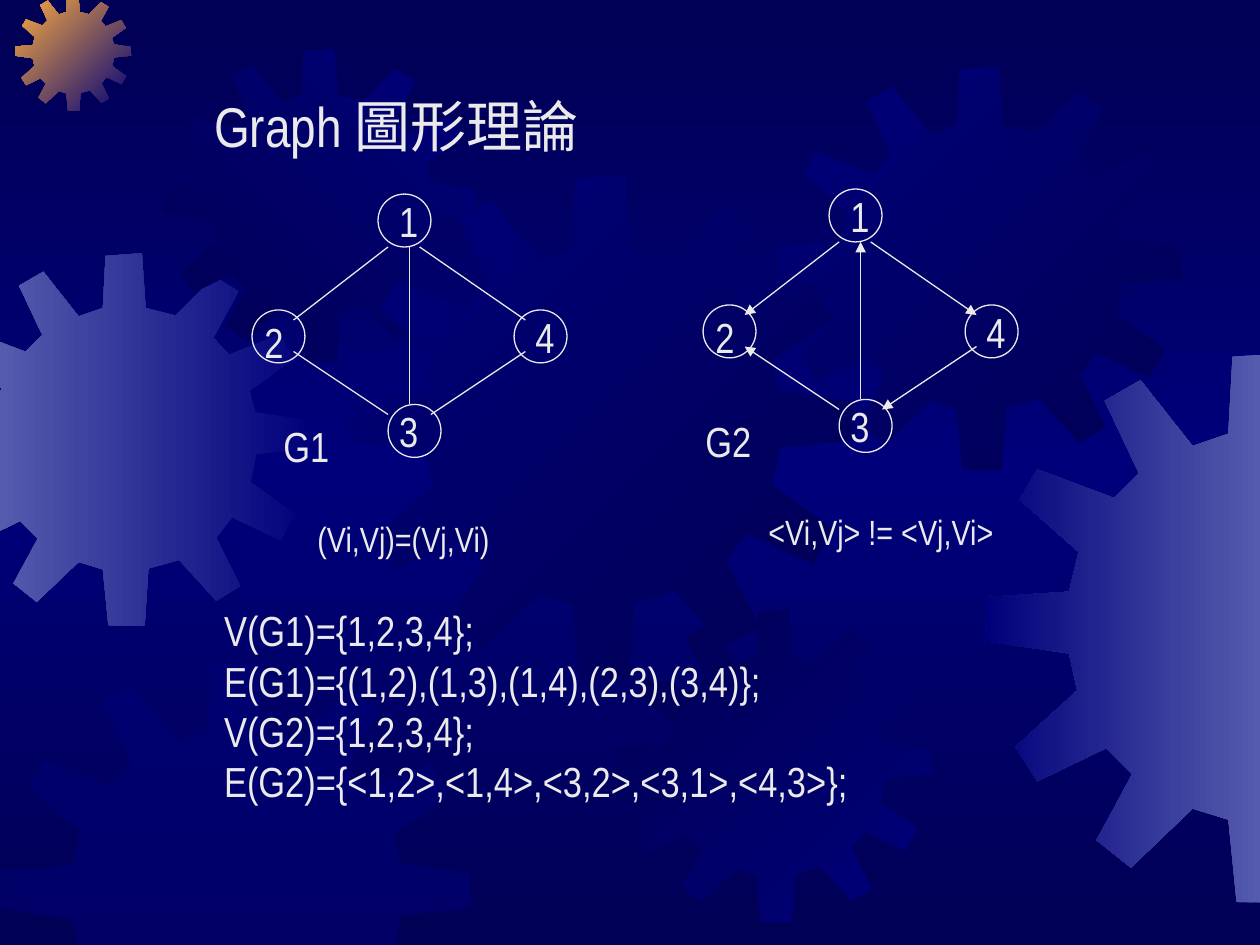
from copy import deepcopy

from lxml.etree import SubElement
from pptx import Presentation
from pptx.dml.color import RGBColor
from pptx.enum.shapes import MSO_CONNECTOR, MSO_SHAPE
from pptx.enum.text import MSO_ANCHOR, MSO_AUTO_SIZE, PP_ALIGN
from pptx.oxml.ns import qn
from pptx.util import Inches, Pt

WIDTH, HEIGHT = 10, 7.5
INK, NAVY, BLUE, LILAC, ORANGE = "EAEAEA", "000054", "00007A", "555BAD", "FCAB40"

GEAR_SPAN = 401
GEAR_OUTLINE = [
    (255, 67), (223, 59), (219, 0), (180, 3), (177, 59), (151, 68),
    (113, 20), (87, 35), (112, 88), (94, 106), (38, 85), (25, 107),
    (68, 145), (61, 174), (1, 178), (0, 210), (61, 219), (67, 246),
    (22, 287), (38, 312), (88, 288), (107, 307), (81, 355), (106, 375),
    (151, 332), (177, 340), (183, 400), (222, 401), (226, 339), (259, 330),
    (299, 374), (325, 358), (299, 306), (316, 284), (368, 309), (384, 281),
    (336, 246), (342, 216), (401, 210), (400, 180), (341, 171), (335, 148),
    (383, 114), (367, 87), (313, 109), (296, 91), (323, 41), (297, 25),
]
GEARS = [
    (-0.49, 2.01, 2.96, (BLUE, LILAC), 180),
    (0.12, -0.04, 0.92, (BLUE, ORANGE), 225),
    (1.3, 0.39, 2.48, (BLUE, NAVY), 135),
    (2.77, 1.39, 4.01, (NAVY, BLUE), 225),
    (0, 5.25, 3.74, (BLUE,), 0),
    (4.91, 4.84, 2.48, (BLUE, NAVY), 225),
    (6.18, 0.53, 3.2, (NAVY, BLUE), 225),
    (7.82, 2.8, 4.37, (LILAC, BLUE), 180),
]

CIRCLE = 0.42
NODES = [(1, 0), (0, 0.92), (1.08, 1.67), (2.08, 0.92)]
LABELS = [(1.07, -0.04), (0, 0.92), (1.07, 1.63), (2.15, 0.88)]
EDGES = [
    ((1.08, 0.42), (0.33, 1)),
    ((1.08, 1.75), (0.33, 1.25)),
    ((1.25, 1.67), (1.25, 0.42)),
    ((1.33, 0.42), (2.17, 1)),
    ((2.17, 1.25), (1.42, 1.75)),
]
SETS = [
    "V(G1)={1,2,3,4};",
    "E(G1)={(1,2),(1,3),(1,4),(2,3),(3,4)};",
    "V(G2)={1,2,3,4};",
    "E(G2)={<1,2>,<1,4>,<3,2>,<3,1>,<4,3>};",
]


def color(value):
    return RGBColor.from_string(value)


def inches(*lengths):
    return [Inches(length) for length in lengths]


def apply(target, values):
    for name, value in values.items():
        setattr(target, name, value)


def fill_gradient(fill, colors, angle):
    fill.gradient()
    fill.gradient_angle = (360 - angle) % 360
    first = fill.gradient_stops[0]._gs
    for _ in colors[2:]:
        first.addnext(deepcopy(first))
    for index, (stop, value) in enumerate(zip(fill.gradient_stops, colors)):
        stop.color.rgb = color(value)
        stop.position = index / (len(colors) - 1)


def clip(points, axis, limit, sign):
    kept = []
    for start, end in zip(points[-1:] + points[:-1], points):
        start_in = sign * (limit - start[axis]) >= 0
        end_in = sign * (limit - end[axis]) >= 0
        if start_in != end_in:
            share = (limit - start[axis]) / (end[axis] - start[axis])
            kept.append(tuple(a + share * (b - a) for a, b in zip(start, end)))
        if end_in:
            kept.append(end)
    return kept


def add_gear(page, left, top, size, colors, angle):
    scale = size / GEAR_SPAN
    points = [(left + x * scale, top + y * scale) for x, y in GEAR_OUTLINE]
    for axis, limit, sign in [(0, 0, -1), (0, WIDTH, 1), (1, 0, -1), (1, HEIGHT, 1)]:
        points = clip(points, axis, limit, sign)
    corners = [inches(*point) for point in points]
    builder = page.shapes.build_freeform(*corners[0])
    builder.add_line_segments(corners[1:], close=True)
    gear = builder.convert_to_shape()
    gear.shadow.inherit = False
    gear.line.fill.background()
    if len(colors) > 1:
        fill_gradient(gear.fill, colors, angle)
    else:
        gear.fill.solid()
        gear.fill.fore_color.rgb = color(colors[0])
        tint = gear._element.spPr.find(qn("a:solidFill"))[0]
        SubElement(tint, qn("a:alpha"), val="50000")


def write(box, lines, size):
    frame = box.text_frame
    frame.text = "\n".join(lines)
    apply(frame, {
        "word_wrap": False, "auto_size": MSO_AUTO_SIZE.NONE,
        "vertical_anchor": MSO_ANCHOR.TOP,
        "margin_left": Inches(0.1), "margin_right": Inches(0.1),
        "margin_top": Inches(0.05), "margin_bottom": Inches(0.05),
    })
    for para in frame.paragraphs:
        para.alignment = PP_ALIGN.LEFT
        for span in para.runs:
            apply(span.font, {"name": "Arial Narrow", "size": Pt(size)})
            span.font.color.rgb = color(INK)


def add_text(shapes, left, top, width, height, lines, size):
    write(shapes.add_textbox(*inches(left, top, width, height)), lines, size)


def style_line(line):
    line.width = Pt(0.75)
    line.color.rgb = color(INK)


def add_edge(shapes, left, top, start, end, directed):
    edge = shapes.add_connector(
        MSO_CONNECTOR.STRAIGHT,
        *inches(left + start[0], top + start[1], left + end[0], top + end[1]))
    style_line(edge.line)
    properties = edge._element.spPr
    if directed:
        SubElement(properties.find(qn("a:ln")), qn("a:tailEnd"), type="triangle")
    SubElement(properties, qn("a:effectLst"))


def add_graph(page, left, top, directed):
    shapes = page.shapes.add_group_shape().shapes
    for x, y in NODES:
        node = shapes.add_shape(
            MSO_SHAPE.OVAL, *inches(left + x, top + y, CIRCLE, CIRCLE))
        node.shadow.inherit = False
        node.fill.background()
        style_line(node.line)
    for start, end in EDGES:
        add_edge(shapes, left, top, start, end, directed)
    for number, (x, y) in enumerate(LABELS, 1):
        add_text(shapes, left + x, top + y, 0.35, 0.5, [str(number)], 24)


def add_title(page, left, top, width, height):
    title = page.shapes.title
    page.shapes._spTree.append(title._element)
    apply(title, dict(zip(("left", "top", "width", "height"),
                          inches(left, top, width, height))))
    write(title, ["Graph 圖形理論"], 32)


def main():
    deck = Presentation()
    apply(deck, {"slide_width": Inches(WIDTH), "slide_height": Inches(HEIGHT)})
    page = deck.slides.add_slide(deck.slide_layouts[5])
    fill_gradient(page.background.fill, (NAVY, BLUE, NAVY), 90)
    for gear in GEARS:
        add_gear(page, *gear)
    add_title(page, 1.6, 0.68, 3.4, 0.64)
    add_graph(page, 2, 1.54, False)
    add_graph(page, 5.58, 1.5, True)
    add_text(page.shapes, 2.15, 3.29, 0.56, 0.5, ["G1"], 24)
    add_text(page.shapes, 5.5, 3.25, 0.56, 0.5, ["G2"], 24)
    add_text(page.shapes, 1.68, 4.75, 5.15, 1.7, SETS, 24)
    add_text(page.shapes, 2.42, 4.06, 1.57, 0.44, ["(Vi,Vj)=(Vj,Vi)"], 20)
    add_text(page.shapes, 6, 4, 1.99, 0.44, ["<Vi,Vj> != <Vj,Vi>"], 20)
    deck.save("out.pptx")


if __name__ == "__main__":
    main()
